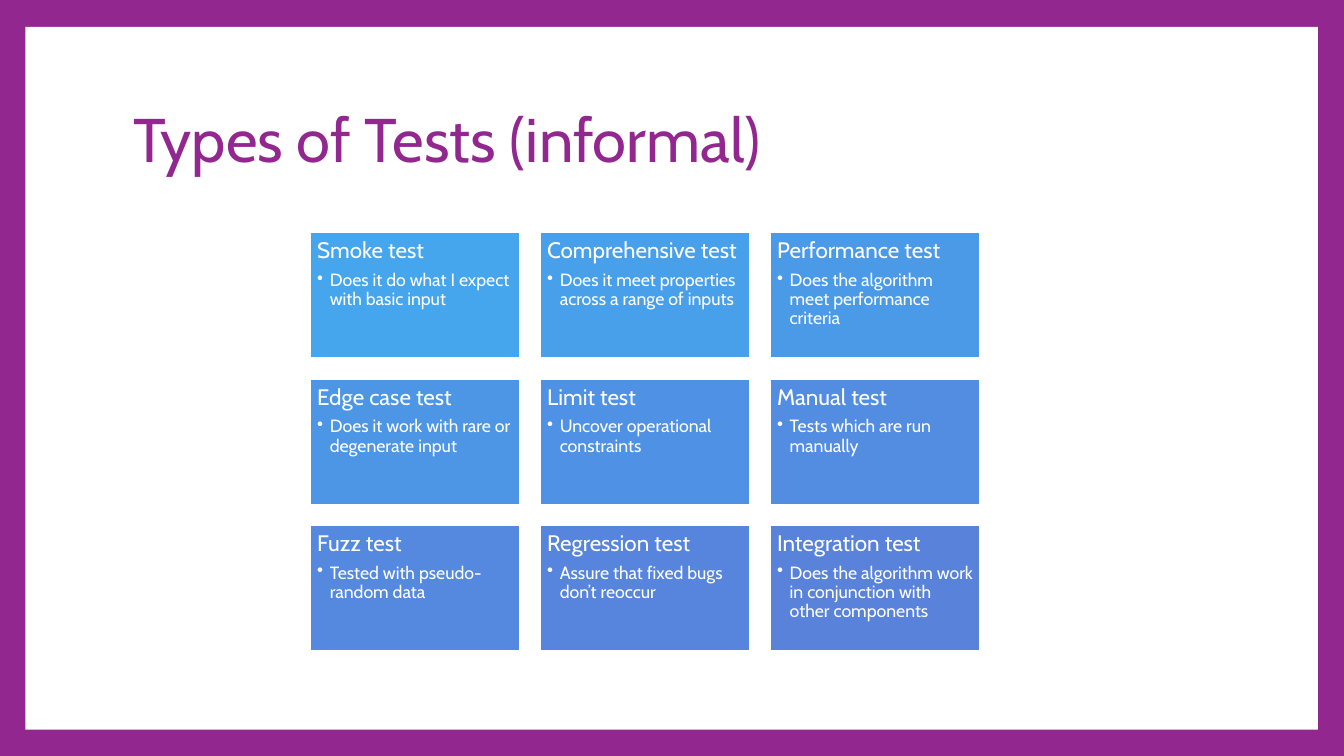
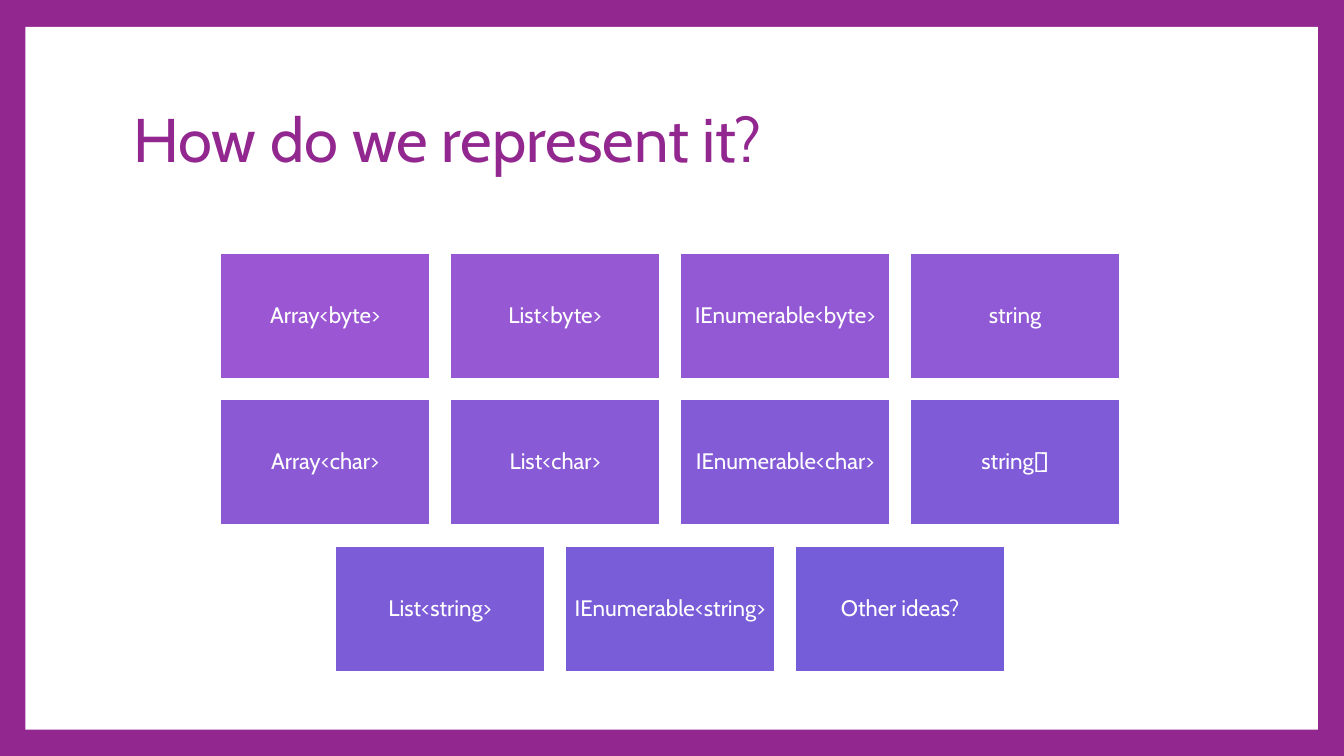
import colorsys

import pptx
import pptx.dml.color
import pptx.enum.shapes
import pptx.enum.text
import pptx.oxml.ns
import pptx.util
from lxml import etree

Pt = pptx.util.Pt
ANCHOR = pptx.enum.text.MSO_ANCHOR
ALIGN = pptx.enum.text.PP_ALIGN

COLORS = {
    "frame": "92278F",
    "paper": "FFFFFF",
    "tests_first": "45A5ED",
    "tests_last": "5982DB",
    "types_first": "9B57D3",
    "types_last": "755DD9",
}
FONT = "Cabin"
SLIDE_SIZE = (1440, 810)
PAPER_BOX = (27.2, 28.8, 1384.8, 753.1)
TITLE_BOX = (135.4, 72, 1166.4, 160.6)
TESTS_BOX = (332.8, 249.2, 716.8)
TYPES_BOX = (236.4, 271.4, 963.2)
CARD_WIDTH, CARD_HEIGHT, GAP = 224, 134.4, 22.4
CARD_INSET = 7.2
BULLET_INDENT = 13.5

TESTS = [
    ("Smoke test", "Does it do what I expect with basic input"),
    ("Comprehensive test", "Does it meet properties across a range of inputs"),
    ("Performance test", "Does the algorithm meet performance criteria"),
    ("Edge case test", "Does it work with rare or degenerate input"),
    ("Limit test", "Uncover operational constraints"),
    ("Manual test", "Tests which are run manually"),
    ("Fuzz test", "Tested with pseudo-random data"),
    ("Regression test", "Assure that fixed bugs don’t reoccur"),
    ("Integration test",
     "Does the algorithm work in conjunction with other components"),
]
REPRESENTATIONS = [
    ("Array<byte>",), ("List<byte>",), ("IEnumerable<byte>",), ("string",),
    ("Array<char>",), ("List<char>",), ("IEnumerable<char>",), ("string[]",),
    ("List<string>",), ("IEnumerable<string>",), ("Other ideas?",),
]


def rgb(color):
    return pptx.dml.color.RGBColor.from_string(color)


def blend(first, last, share):
    """Return the hex colour at a share of the way between two, in HLS."""
    ends = [colorsys.rgb_to_hls(*(part / 255 for part in rgb(color)))
            for color in (first, last)]
    mixed = [a + (b - a) * share for a, b in zip(*ends)]
    return "".join(f"{round(part * 255):02X}"
                   for part in colorsys.hls_to_rgb(*mixed))


def add_rectangle(slide, box, fill):
    rectangle = slide.shapes.add_shape(
        pptx.enum.shapes.MSO_SHAPE.RECTANGLE, *map(Pt, box))
    rectangle.shadow.inherit = False
    rectangle.fill.solid()
    rectangle.fill.fore_color.rgb = rgb(fill)
    rectangle.line.fill.background()
    return rectangle


def format_paragraph(paragraph, size, color, align=ALIGN.LEFT):
    paragraph.alignment = align
    paragraph.line_spacing = 0.9
    for run in paragraph.runs:
        run.font.name = FONT
        run.font.size = Pt(size)
        run.font.color.rgb = rgb(color)


def add_bullet(paragraph):
    properties = paragraph._p.get_or_add_pPr()
    properties.set("marL", str(Pt(BULLET_INDENT)))
    properties.set("indent", str(-Pt(BULLET_INDENT)))
    bullet = etree.SubElement(properties, pptx.oxml.ns.qn("a:buChar"))
    bullet.set("char", "•")


def style_master(deck, slide):
    """Put the coloured frame and the white paper on the slide master."""
    background = deck.slide_master.background.fill
    background.solid()
    background.fore_color.rgb = rgb(COLORS["frame"])
    paper = add_rectangle(slide, PAPER_BOX, COLORS["paper"])
    deck.slide_master.shapes._spTree.insert(2, paper._element)


def add_title(slide, box, text):
    title = slide.shapes.title
    title.left, title.top, title.width, title.height = map(Pt, box)
    frame = title.text_frame
    frame.text = text
    frame.word_wrap = True
    frame.auto_size = pptx.enum.text.MSO_AUTO_SIZE.NONE
    frame.vertical_anchor = ANCHOR.MIDDLE
    format_paragraph(frame.paragraphs[0], 66, COLORS["frame"])


def add_card(slide, box, fill, heading, detail=None):
    """Draw a card: heading over a bullet, or a lone heading in the middle."""
    card = add_rectangle(slide, box, fill)
    card.line.color.rgb = rgb(COLORS["paper"])
    card.line.width = Pt(1.5)
    frame = card.text_frame
    frame.word_wrap = True
    frame.margin_left = frame.margin_right = Pt(CARD_INSET)
    frame.margin_top = frame.margin_bottom = Pt(CARD_INSET)
    frame.vertical_anchor = ANCHOR.TOP if detail else ANCHOR.MIDDLE
    frame.text = heading
    top_line = frame.paragraphs[0]
    format_paragraph(top_line, 24, COLORS["paper"],
                     ALIGN.LEFT if detail else ALIGN.CENTER)
    if detail:
        top_line.space_after = Pt(8.4)
        question = frame.add_paragraph()
        question.text = detail
        question.level = 1
        add_bullet(question)
        format_paragraph(question, 19, COLORS["paper"])


def add_card_grid(slide, box, cards, columns, first, last):
    """Fill rows of cards from the top of the box, each row centred in it."""
    left, top, width = box
    for start in range(0, len(cards), columns):
        row = cards[start:start + columns]
        row_width = len(row) * (CARD_WIDTH + GAP) - GAP
        row_left = left + (width - row_width) / 2
        row_top = top + start // columns * (CARD_HEIGHT + GAP)
        for column, texts in enumerate(row):
            card_box = (row_left + column * (CARD_WIDTH + GAP), row_top,
                        CARD_WIDTH, CARD_HEIGHT)
            share = (start + column) / (len(cards) - 1)
            add_card(slide, card_box, blend(first, last, share), *texts)


def add_grid_slide(deck, title, box, cards, columns, palette):
    slide = deck.slides.add_slide(deck.slide_layouts[5])
    add_title(slide, TITLE_BOX, title)
    add_card_grid(slide, box, cards, columns,
                  COLORS[palette + "_first"], COLORS[palette + "_last"])
    return slide


def main():
    deck = pptx.Presentation()
    deck.slide_width, deck.slide_height = map(Pt, SLIDE_SIZE)
    tests = add_grid_slide(deck, "Types of Tests (informal)", TESTS_BOX,
                           TESTS, 3, "tests")
    style_master(deck, tests)
    add_grid_slide(deck, "How do we represent it?", TYPES_BOX,
                   REPRESENTATIONS, 4, "types")
    deck.save("out.pptx")


if __name__ == "__main__":
    main()
